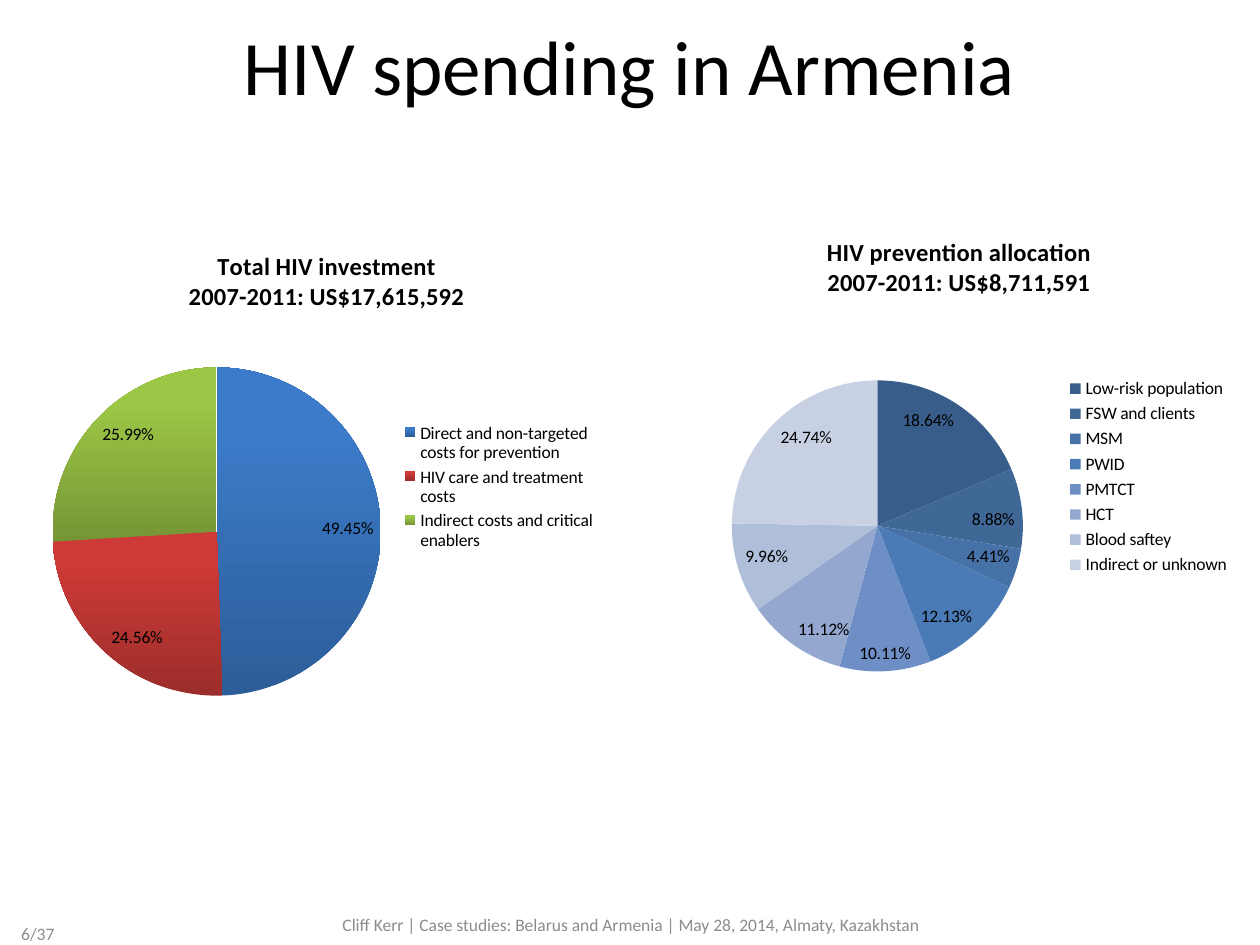
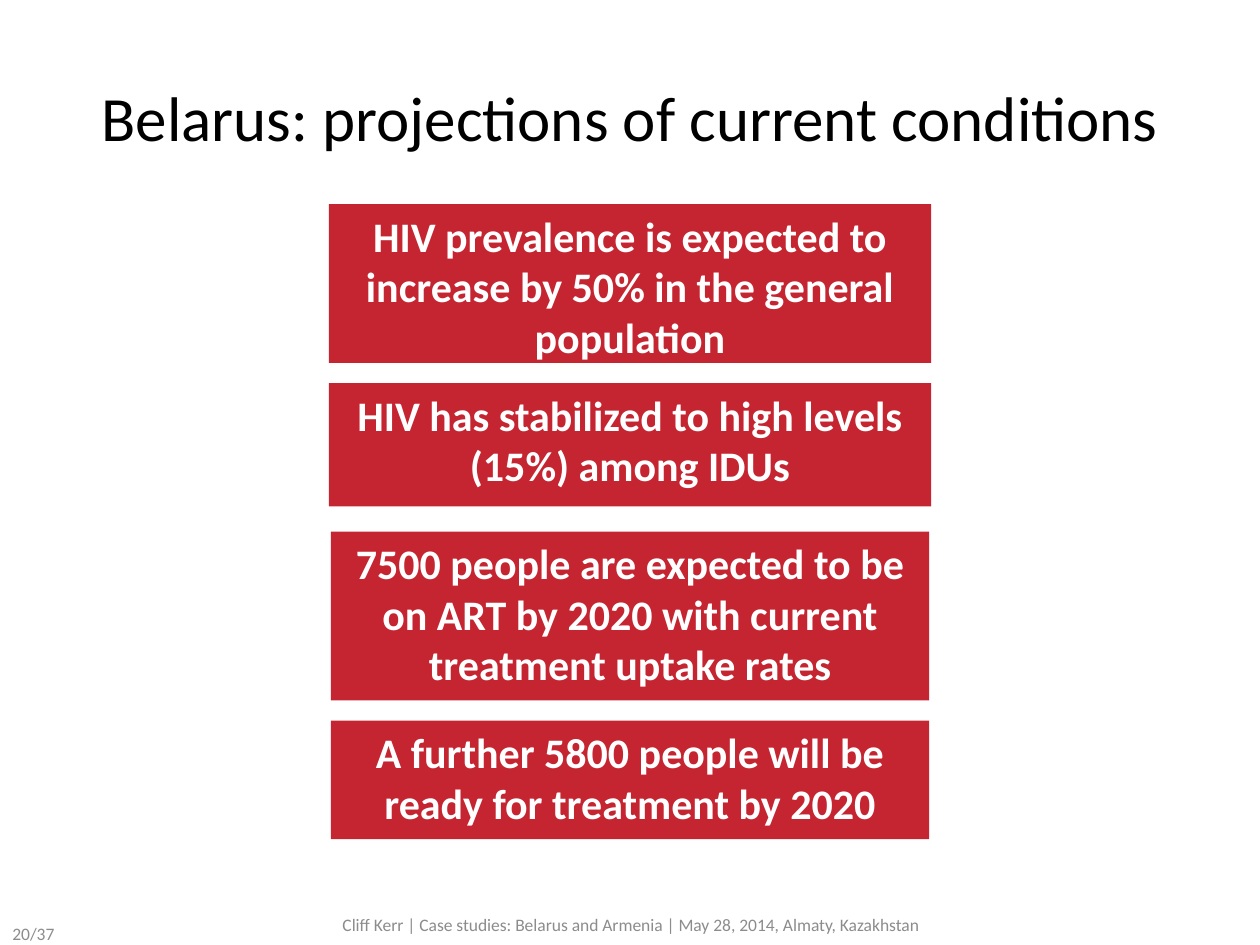
from dataclasses import dataclass

from lxml import etree
from pptx import Presentation
from pptx.chart.data import CategoryChartData
from pptx.dml.color import RGBColor
from pptx.enum.chart import XL_CHART_TYPE, XL_LABEL_POSITION, XL_LEGEND_POSITION
from pptx.enum.shapes import MSO_SHAPE
from pptx.enum.text import MSO_ANCHOR, PP_ALIGN
from pptx.oxml.ns import qn
from pptx.util import Inches, Pt

PIE = XL_CHART_TYPE.PIE
INSIDE_END = XL_LABEL_POSITION.INSIDE_END
LEGEND_RIGHT = XL_LEGEND_POSITION.RIGHT
RECT = MSO_SHAPE.RECTANGLE
TOP, MIDDLE = MSO_ANCHOR.TOP, MSO_ANCHOR.MIDDLE
CENTER, RIGHT = PP_ALIGN.CENTER, PP_ALIGN.RIGHT


@dataclass(frozen=True)
class Theme:
    font: str = "Calibri"
    black: str = "000000"
    white: str = "FFFFFF"
    grey: str = "8C8C8C"
    red: str = "C52531"
    footer_size: int = 10
    chart_size: int = 10
    chart_title_size: int = 14
    box_size: int = 24
    investment: tuple = (("2C5D98", "3C7BC9"), ("9B2D2A", "CD3A37"), ("769535", "9CC746"))
    prevention: tuple = ("385D8A", "406897", "4672A8", "4A7BB7",
                         "6D8FC5", "94A8CF", "AFBED9", "C8D1E4")


THEME = Theme()
FOOTER = "Cliff Kerr | Case studies: Belarus and Armenia | May 28, 2014, Almaty, Kazakhstan"
PAGES = 37


def rgb(color):
    return RGBColor.from_string(color)


def set_font(font, size, color, bold=False):
    font.name = THEME.font
    font.size = Pt(size)
    font.bold = bold
    font.color.rgb = rgb(color)


def write(tf, text, size=10, color=THEME.black, bold=False, align=CENTER):
    for i, line in enumerate(text.split("\n")):
        p = tf.add_paragraph() if i else tf.paragraphs[0]
        p.alignment = align
        r = p.add_run()
        r.text = line
        set_font(r.font, size, color, bold)


def add_text(s, box, text, **style):
    tf = s.shapes.add_textbox(*map(Inches, box)).text_frame
    tf.word_wrap = True
    tf.vertical_anchor = MIDDLE
    write(tf, text, **style)


def add_slide(prs, title, page, title_top, title_size):
    s = prs.slides.add_slide(prs.slide_layouts[6])
    small = {"size": THEME.footer_size, "color": THEME.grey}
    add_text(s, (-0.12, 7.21, 0.65, 0.4), f"{page}/{PAGES}", align=RIGHT, **small)
    add_text(s, (2.4, 7.14, 5.21, 0.4), FOOTER, **small)
    add_text(s, (0.5, title_top, 9, 1.25), title, size=title_size)
    return s


def add_message(s, box, text):
    sp = s.shapes.add_shape(RECT, *map(Inches, box))
    sp.shadow.inherit = False
    sp.fill.solid()
    sp.fill.fore_color.rgb = rgb(THEME.red)
    sp.line.fill.background()
    sp.text_frame.word_wrap = True
    sp.text_frame.vertical_anchor = TOP
    write(sp.text_frame, text, size=THEME.box_size, color=THEME.white, bold=True)


def place(chart, part, index, **fractions):
    parent = next(chart.element.iter(qn(f"c:{part}")))
    for old in parent.findall(qn("c:layout")):
        parent.remove(old)
    layout = etree.Element(qn("c:layout"))
    parent.insert(index, layout)
    manual = etree.SubElement(layout, qn("c:manualLayout"))
    settings = {"xMode": "edge", "yMode": "edge", **fractions}
    if part == "plotArea":
        settings = {"layoutTarget": "inner", **settings}
    for name, value in settings.items():
        etree.SubElement(manual, qn(f"c:{name}")).set("val", str(value))


def fill_slice(fill, color):
    if isinstance(color, str):
        fill.solid()
        fill.fore_color.rgb = rgb(color)
        return
    fill.gradient()
    fill.gradient_angle = 90
    for stop, shade, position in zip(fill.gradient_stops, color, (0, 0.8)):
        stop.color.rgb = rgb(shade)
        stop.position = position


def add_pie(s, box, title, shares, colors, title_at, plot_at, legend_at):
    data = CategoryChartData()
    data.categories = list(shares)
    data.add_series("Series 1", list(shares.values()))
    chart = s.shapes.add_chart(PIE, *map(Inches, box), data).chart
    set_font(chart.font, THEME.chart_size, THEME.black)

    chart.has_title = True
    write(chart.chart_title.text_frame, title, size=THEME.chart_title_size, bold=True)
    chart.chart_title.include_in_layout = False
    chart.has_legend = True
    chart.legend.position = LEGEND_RIGHT
    chart.legend.include_in_layout = False

    plot = chart.plots[0]
    plot.vary_by_categories = True
    plot.has_data_labels = True
    labels = plot.data_labels
    labels.show_percentage = True
    labels.show_value = False
    labels.number_format = "0.00%"
    labels.number_format_is_linked = False
    labels.position = INSIDE_END
    set_font(labels.font, THEME.chart_size, THEME.black)
    for i, color in enumerate(colors):
        fill_slice(plot.series[0].points[i].format.fill, color)

    place(chart, "title", 1, **title_at)
    place(chart, "plotArea", 0, **plot_at)
    place(chart, "legend", 1, **legend_at)


def add_spending(prs):
    s = add_slide(prs, "HIV spending in Armenia", 6, -0.11, 44)
    add_pie(
        s, (0.28, 1.78, 4.57, 4.17),
        "Total HIV investment\n2007-2011: US$17,615,592",
        {"Direct and non-targeted costs for prevention": 49.45,
         "HIV care and treatment costs": 24.56,
         "Indirect costs and critical enablers": 25.99},
        THEME.investment,
        title_at={"x": 0.26, "y": 0.04},
        plot_at={"x": 0.03, "y": 0.27, "w": 0.57, "h": 0.63},
        legend_at={"x": 0.63, "y": 0.37, "w": 0.35, "h": 0.26},
    )
    add_pie(
        s, (5.31, 1.62, 4.53, 4.33),
        "HIV prevention allocation\n2007-2011: US$8,711,591",
        {"Low-risk population": 18.64, "FSW and clients": 8.88, "MSM": 4.41,
         "PWID": 12.13, "PMTCT": 10.11, "HCT": 11.12,
         "Blood saftey": 9.96, "Indirect or unknown": 24.74},
        THEME.prevention,
        title_at={"x": 0.27, "y": 0.05},
        plot_at={"x": 0.11, "y": 0.32, "w": 0.51, "h": 0.54},
        legend_at={"x": 0.69, "y": 0.31, "w": 0.3, "h": 0.38},
    )


def add_projections(prs):
    s = add_slide(prs, "Belarus: projections of current conditions", 20, 0.3, 36)
    messages = (
        (1.62, 4.78, 1.26,
         "HIV prevalence is expected to increase by 50% in the general population"),
        (3.04, 4.78, 0.98, "HIV has stabilized to high levels (15%) among IDUs"),
        (4.22, 4.75, 1.34,
         "7500 people are expected to be on ART by 2020 with current treatment uptake rates"),
        (5.72, 4.75, 0.94, "A further 5800 people will be ready for treatment by 2020"),
    )
    for top, width, height, text in messages:
        add_message(s, ((10 - width) / 2, top, width, height), text)


def main():
    prs = Presentation()
    prs.slide_width, prs.slide_height = Inches(10), Inches(7.5)
    add_spending(prs)
    add_projections(prs)
    prs.save("out.pptx")


if __name__ == "__main__":
    main()
